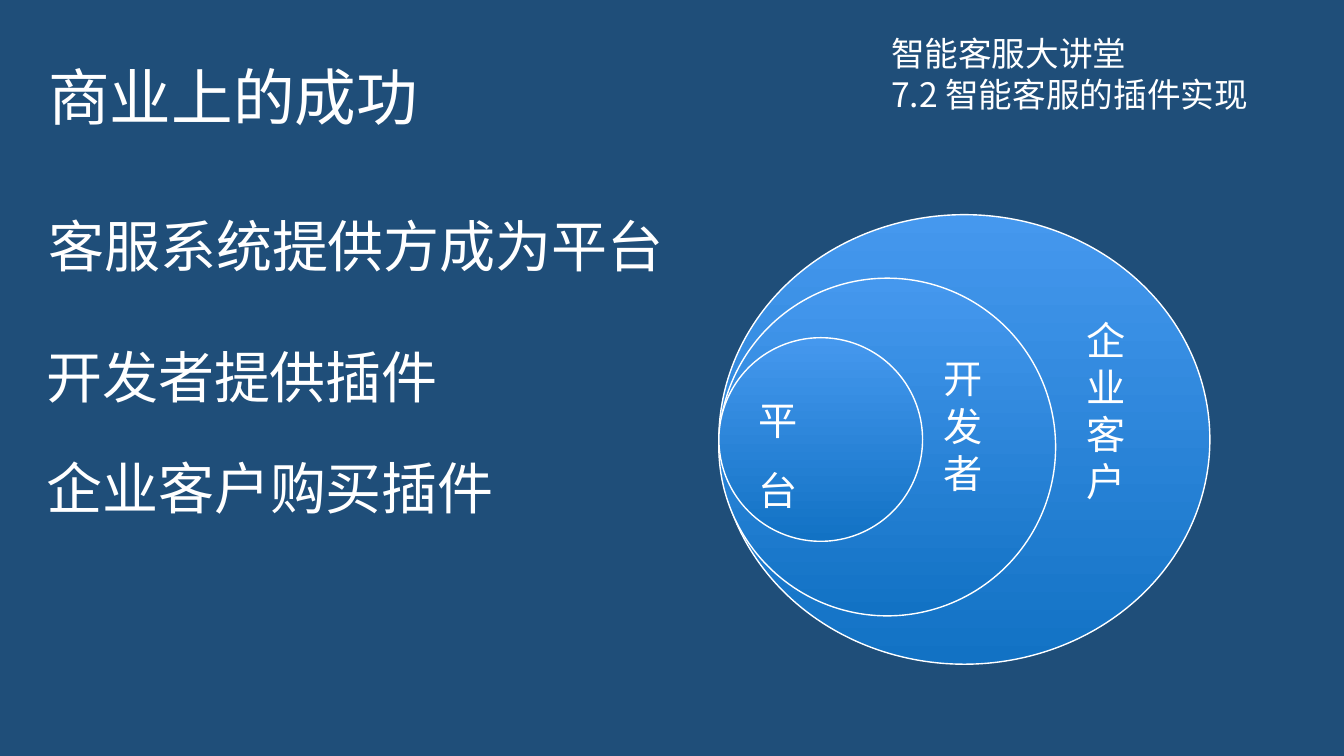
from pptx import Presentation
from pptx.dml.color import RGBColor
from pptx.enum.shapes import MSO_SHAPE
from pptx.enum.text import MSO_ANCHOR, MSO_AUTO_SIZE, PP_ALIGN
from pptx.oxml.ns import qn
from pptx.util import Inches, Pt
from lxml.etree import SubElement

FONT = "Noto Sans CJK SC"
WHITE, NAVY = "FFFFFF", "1F4E79"
GRADIENT = ("4598EE", "1272C4")


def rgb(color):
    return RGBColor.from_string(color)


def write(sp, text, size, spacing=None, vertical=False):
    """Put one white paragraph into a shape, stacked upright if vertical."""
    tf = sp.text_frame
    tf.text = text
    p = tf.paragraphs[0]
    p.alignment = PP_ALIGN.LEFT
    if spacing:
        p.line_spacing = spacing
    font = p.runs[0].font
    font.size, font.name = Pt(size), FONT
    font.color.rgb = rgb(WHITE)
    SubElement(font._element, qn("a:ea")).set("typeface", FONT)
    if vertical:
        tf._txBody.bodyPr.set("vert", "wordArtVert")


prs = Presentation()
prs.slide_width, prs.slide_height = Inches(13.33), Inches(7.5)
s = prs.slides.add_slide(prs.slide_layouts[5])
s.background.fill.solid()
s.background.fill.fore_color.rgb = rgb(NAVY)

# Title
title = s.shapes.title
title.left, title.top = Inches(0.38), Inches(0.27)
title.width, title.height = Inches(7.2), Inches(1.45)
write(title, "商业上的成功", 44, 0.9)
title.text_frame.vertical_anchor = MSO_ANCHOR.MIDDLE

# Nested circles, all touching the same left edge
for top, width, height in ((2.13, 4.87, 4.46), (2.76, 3.34, 3.35), (3.35, 2.02, 2.02)):
    circle = s.shapes.add_shape(MSO_SHAPE.OVAL, Inches(7.13), Inches(top),
                                Inches(width), Inches(height))
    circle.shadow.inherit = False
    circle.fill.gradient()
    circle.fill.gradient_angle = 270
    for stop, color, position in zip(circle.fill.gradient_stops, GRADIENT, (0, 1)):
        stop.color.rgb = rgb(color)
        stop.position = position
    circle.line.color.rgb = rgb(WHITE)
    circle.line.width = Pt(1)
write(circle, "平台", 28, 1.5, vertical=True)
circle.text_frame.vertical_anchor = MSO_ANCHOR.MIDDLE

# Statements, course heading and circle labels:
# text, left, top, width, height, size, line spacing, vertical
texts = (
    ("客服系统提供方成为平台", 0.38, 1.72, 6.37, 0.99, 40, 1.5, False),
    ("开发者提供插件", 0.36, 3.02, 4.13, 0.99, 40, 1.5, False),
    ("企业客户购买插件", 0.36, 4.12, 4.69, 0.99, 40, 1.5, False),
    ("智能客服大讲堂", 8.74, 0.28, 2.56, 0.5, 24, None, False),
    ("7.2 智能客服的插件实现", 8.74, 0.68, 3.75, 0.5, 24, None, False),
    ("开发者", 9.26, 3.47, 0.81, 1.91, 28, None, True),
    ("企业客户", 10.68, 3.09, 0.81, 2.52, 28, None, True),
)
for text, left, top, width, height, size, spacing, vertical in texts:
    box = s.shapes.add_textbox(Inches(left), Inches(top), Inches(width), Inches(height))
    write(box, text, size, spacing, vertical)
    box.text_frame.word_wrap = not vertical
    box.text_frame.auto_size = MSO_AUTO_SIZE.SHAPE_TO_FIT_TEXT

prs.save("out.pptx")
